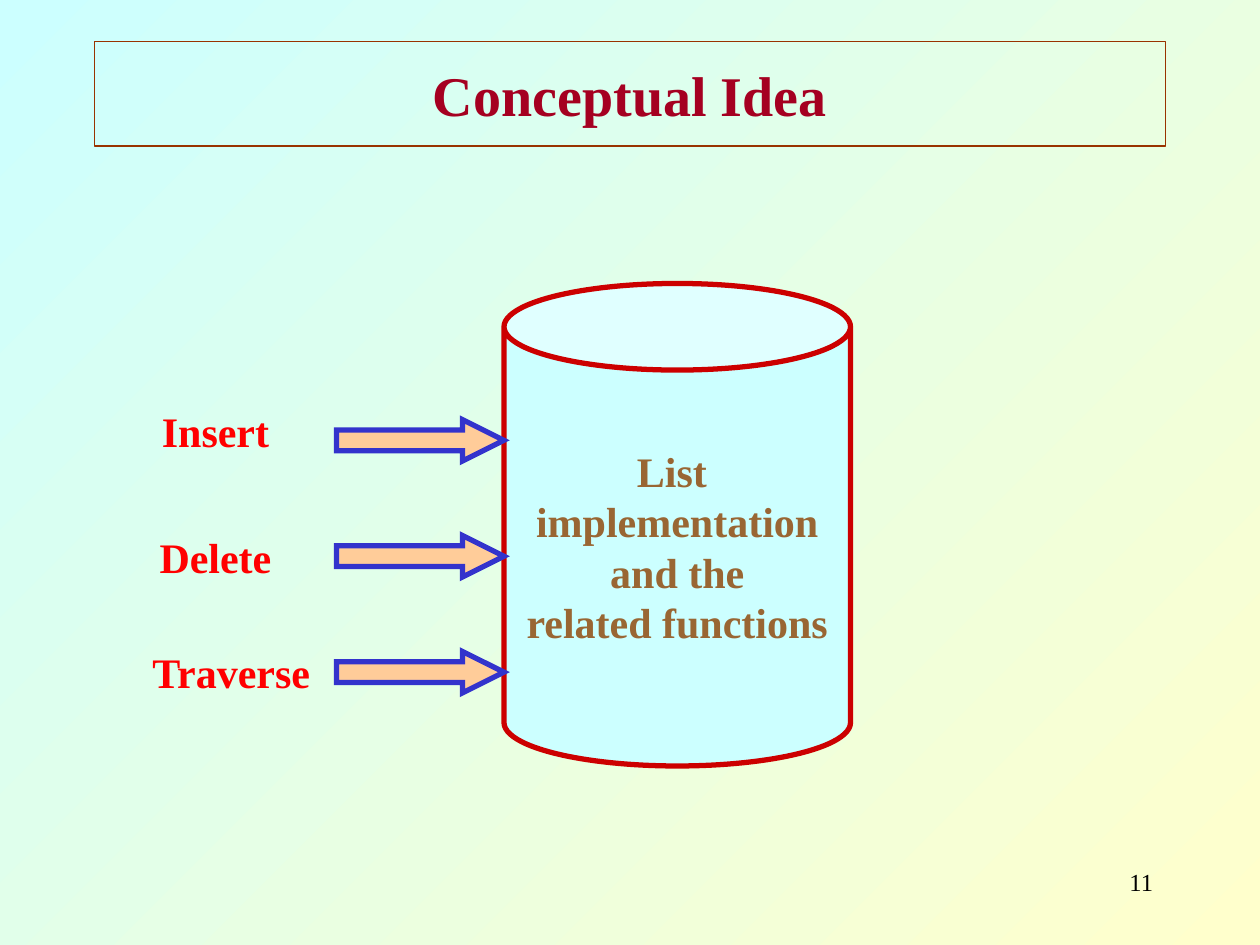
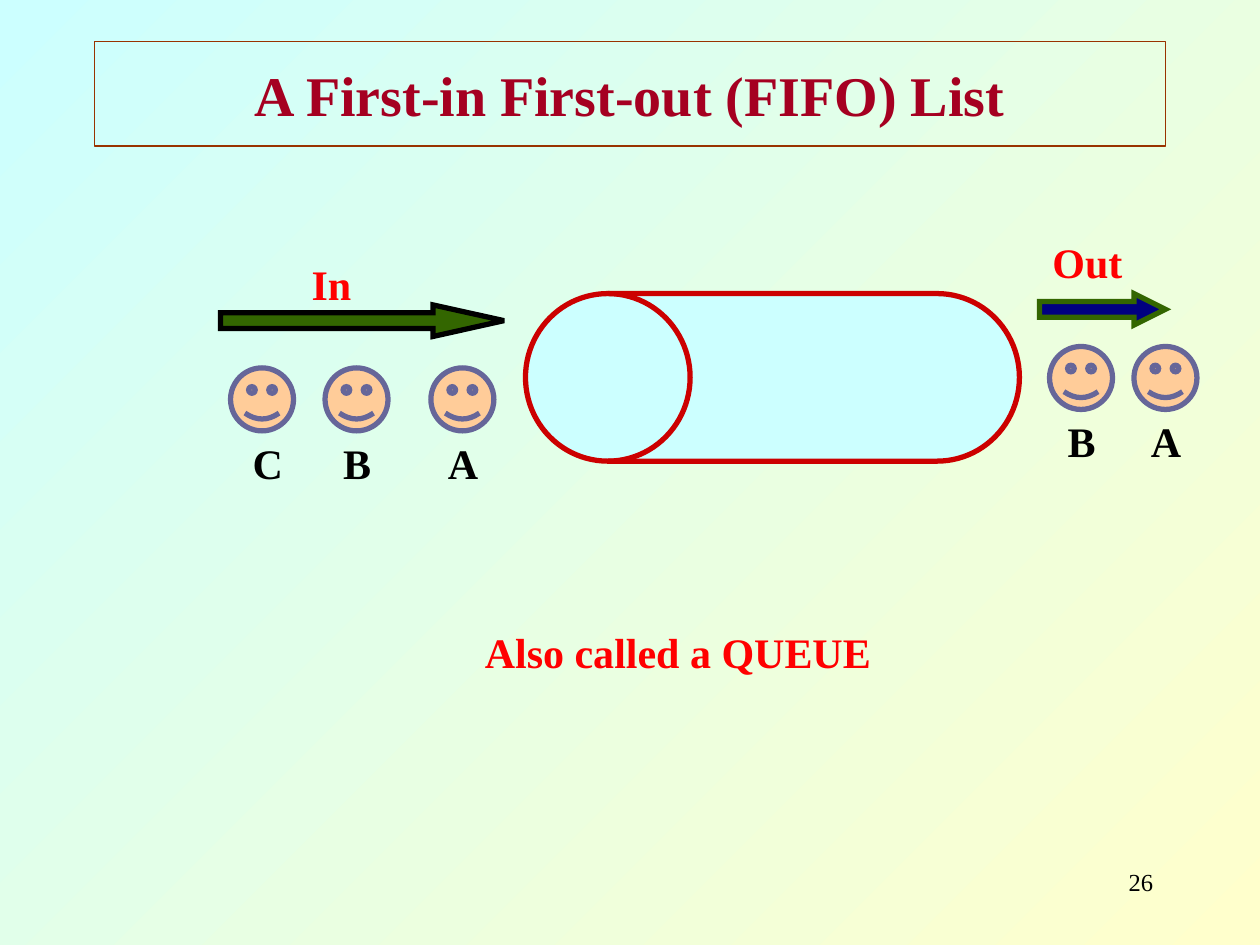
from lxml import etree
from pptx import Presentation
from pptx.dml.color import RGBColor
from pptx.enum.shapes import MSO_SHAPE
from pptx.enum.text import MSO_ANCHOR, MSO_AUTO_SIZE, PP_ALIGN
from pptx.oxml.ns import qn
from pptx.util import Inches, Pt

CAN = MSO_SHAPE.CAN
DRUM = MSO_SHAPE.FLOWCHART_DIRECT_ACCESS_STORAGE
RIGHT_ARROW = MSO_SHAPE.RIGHT_ARROW
SMILEY = MSO_SHAPE.SMILEY_FACE
CENTER, RIGHT = PP_ALIGN.CENTER, PP_ALIGN.RIGHT
MIDDLE, TOP = MSO_ANCHOR.MIDDLE, MSO_ANCHOR.TOP
FIT_SHAPE, NO_FIT = MSO_AUTO_SIZE.SHAPE_TO_FIT_TEXT, MSO_AUTO_SIZE.NONE

FONT = "Times New Roman"
CREAM, AQUA = "FFFFCC", "CCFFFF"
TITLE_RED, TITLE_BORDER = "A50021", "993300"
LABEL_RED, STORE_RED = "FF0000", "CC0000"
PEACH, BLUE, SLATE = "FFCC99", "3333CC", "666699"
GREEN, NAVY, BROWN, BLACK = "336600", "000080", "996633", "000000"


def color(value):
    return RGBColor.from_string(value)


class SlideBuilder:
    """Holds the shared style and the slide being built."""

    def __init__(self, presentation):
        self.presentation = presentation
        self.slide = None

    def start(self, title, number):
        layout = self.presentation.slide_layouts[5]
        self.slide = self.presentation.slides.add_slide(layout)
        # Diagonal background, cream at the lower right
        fill = self.slide.background.fill
        fill.gradient()
        fill.gradient_angle = 135
        for stop, position, value in zip(fill.gradient_stops, (0, 1), (CREAM, AQUA)):
            stop.position = position
            stop.color.rgb = color(value)
        # Framed title
        shape = self.slide.shapes.title
        shape.left, shape.top = Inches(0.75), Inches(0.33)
        shape.width, shape.height = Inches(8.5), Inches(0.83)
        shape.line.color.rgb = color(TITLE_BORDER)
        shape.line.width = Pt(0.75)
        self.set_text(shape, title, TITLE_RED, size=32, anchor=MIDDLE)
        # Slide number
        self.label(str(number), 7.17, 6.83, 2.08, BLACK, size=14, bold=False,
                   align=RIGHT, fit=NO_FIT)

    def set_text(self, shape, text, value, size=24, bold=True, align=CENTER,
                 anchor=TOP, wrap=True, fit=NO_FIT):
        frame = shape.text_frame
        frame.text = text
        frame.word_wrap = wrap
        frame.auto_size = fit
        frame.vertical_anchor = anchor
        for paragraph in frame.paragraphs:
            paragraph.alignment = align
            for run in paragraph.runs:
                run.font.name = FONT
                run.font.size = Pt(size)
                run.font.bold = bold
                run.font.color.rgb = color(value)

    def label(self, text, left, top, width, value=LABEL_RED, fit=FIT_SHAPE, **style):
        box = self.slide.shapes.add_textbox(
            Inches(left), Inches(top), Inches(width), Inches(0.5))
        self.set_text(box, text, value, fit=fit, **style)

    def shape(self, kind, left, top, width, height, fill, line):
        shape = self.slide.shapes.add_shape(
            kind, Inches(left), Inches(top), Inches(width), Inches(height))
        shape.shadow.inherit = False
        shape.fill.solid()
        shape.fill.fore_color.rgb = color(fill)
        shape.line.color.rgb = color(line)
        shape.line.width = Pt(3)
        # Sharp corners on the outline
        outline = shape.element.spPr.find(qn("a:ln"))
        etree.SubElement(outline, qn("a:miter")).set("lim", "800000")
        return shape

    def arrow(self, left, top, width, height, fill, line, head=1):
        arrow = self.shape(RIGHT_ARROW, left, top, width, height, fill, line)
        arrow.adjustments[1] = head

    def person(self, letter, left, top, label_shift=0):
        self.shape(SMILEY, left, top, 0.5, 0.5, PEACH, SLATE)
        self.label(letter, left - 0.08 + label_shift, top + 0.5, 0.67, BLACK)


def build_concept(builder):
    builder.start("Conceptual Idea", 11)

    # Store that hides the list
    store = builder.shape(CAN, 4, 2.25, 2.75, 3.83, AQUA, STORE_RED)
    store.adjustments[0] = 0.25
    builder.set_text(store, "List \nimplementation\nand the\nrelated functions",
                     BROWN, anchor=MIDDLE, wrap=False)

    # Operations on the list
    operations = (("Insert", 3.17, 1.42), ("Delete", 4.17, 1.42), ("Traverse", 5.08, 1.67))
    for index, (name, top, width) in enumerate(operations):
        builder.arrow(2.67, 3.33 + 0.92 * index, 1.33, 0.33, PEACH, BLUE)
        builder.label(name, 1, top, width)


def build_queue(builder):
    builder.start("A First-in First-out (FIFO) List", 26)

    # Queue
    queue = builder.shape(DRUM, 4.17, 2.33, 3.92, 1.33, AQUA, STORE_RED)
    queue.rotation = 180
    builder.label("Also called a QUEUE", 2.67, 4.92, 5.42)

    # Entering
    builder.arrow(1.75, 2.42, 2.25, 0.25, GREEN, BLACK, head=2.25)
    builder.label("In", 2.17, 2, 0.92)
    builder.person("C", 1.83, 2.92, label_shift=0.04)
    builder.person("B", 2.58, 2.92)
    builder.person("A", 3.42, 2.92)

    # Leaving
    builder.arrow(8.25, 2.33, 1, 0.25, NAVY, GREEN)
    builder.label("Out", 8.17, 1.83, 0.92)
    builder.person("B", 8.33, 2.75)
    builder.person("A", 9, 2.75)


def main():
    presentation = Presentation()
    presentation.slide_width = Inches(10)
    presentation.slide_height = Inches(7.5)
    builder = SlideBuilder(presentation)
    build_concept(builder)
    build_queue(builder)
    presentation.save("out.pptx")


if __name__ == "__main__":
    main()
